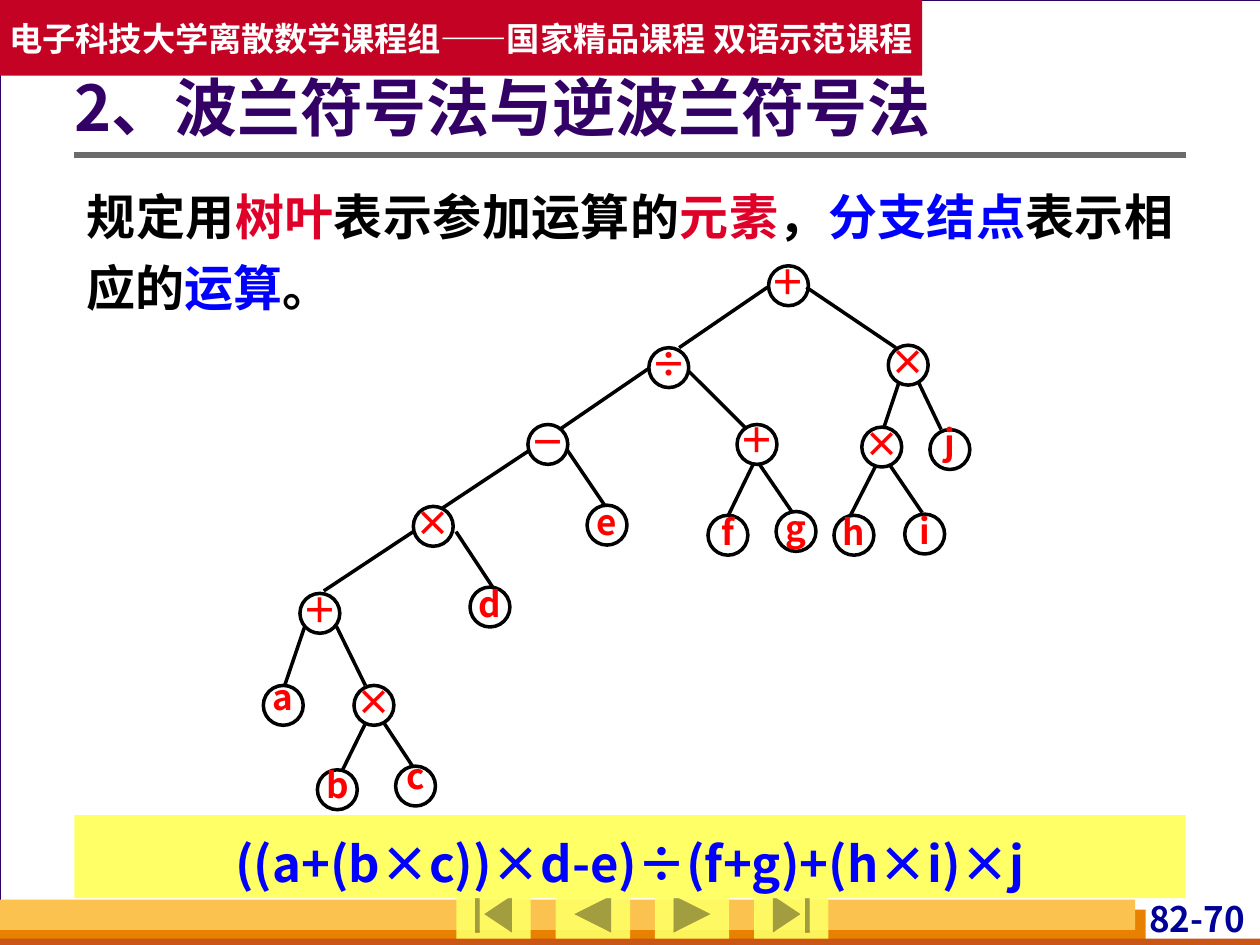
from typing import NamedTuple, Optional

from lxml.etree import SubElement
from pptx import Presentation
from pptx.dml.color import RGBColor
from pptx.enum.shapes import MSO_CONNECTOR, MSO_SHAPE as Preset
from pptx.enum.text import MSO_ANCHOR as Anchor, MSO_AUTO_SIZE as Fit, PP_ALIGN as Align
from pptx.oxml.ns import qn
from pptx.util import Pt

FONT = "Noto Sans CJK SC"
BLACK, WHITE, RED, BLUE = "000000", "FFFFFF", "FF0000", "0000FF"
CRIMSON, PURPLE, YELLOW = "DF0029", "330066", "FFFF66"
NODE_SIZE = 22.8
LABEL_HEIGHT = 23.8


class Box(NamedTuple):
    left: float
    top: float
    width: float
    height: float


class Node(NamedTuple):
    symbol: str
    left: float
    top: float
    label_rise: float = 2.9
    fill: Optional[str] = WHITE


class Edge(NamedTuple):
    x1: float
    y1: float
    x2: float
    y2: float


class Span(NamedTuple):
    text: str
    color: str


NODES = [
    Node("＋", 439.2, 151.9, fill=None),
    Node("÷", 370.8, 198.7),
    Node("×", 507.6, 197.3),
    Node("－", 301.7, 242.6, 2.2),
    Node("＋", 421.2, 242.6, 3.6),
    Node("×", 492.5, 244.1),
    Node("j", 531.4, 245.5, 5),
    Node("×", 236.2, 289.4),
    Node("e", 335.5, 288.7),
    Node("f", 404.6, 294.5),
    Node("g", 443.5, 292.3),
    Node("h", 476.6, 294.5),
    Node("i", 517, 293.8),
    Node("＋", 171.4, 339.1),
    Node("d", 268.6, 335.5),
    Node("a", 150.5, 391.7, 5.8),
    Node("×", 202.3, 391.7),
    Node("b", 181.4, 439.9, 3.6),
    Node("c", 226.1, 437.8, 6.5),
]

EDGES = [
    Edge(438.5, 164.2, 388.1, 198.7),
    Edge(460.8, 164.2, 511.9, 198.7),
    Edge(370.1, 211, 319.7, 245.5),
    Edge(392.4, 211, 427, 245.5),
    Edge(516.2, 211, 504.7, 245.5),
    Edge(521.3, 211, 537.8, 245.5),
    Edge(303.1, 257, 252, 290.9),
    Edge(324, 257, 347, 290.9),
    Edge(432.7, 260.6, 416.2, 294.5),
    Edge(429.8, 259.2, 452.9, 293),
    Edge(503.3, 260.6, 486, 294.5),
    Edge(504, 259.2, 527, 293),
    Edge(236.2, 303.8, 185, 337.7),
    Edge(260.6, 303.8, 283, 337.7),
    Edge(174.2, 357.8, 162.7, 391.7),
    Edge(192.2, 357.8, 208.8, 391.7),
    Edge(212.4, 406.1, 195.8, 439.9),
    Edge(213.8, 404.6, 236.2, 438.5),
]

BARS = [
    (Box(0.1, 519.8, 654.5, 20.2), "E88000"),
    (Box(0.1, 536.4, 720, 5.8), "C95616"),
    (Box(0, 514.1, 648.7, 17.3), "FCC24F"),
]
BUTTONS = [
    Preset.ACTION_BUTTON_BEGINNING,
    Preset.ACTION_BUTTON_BACK_OR_PREVIOUS,
    Preset.ACTION_BUTTON_FORWARD_OR_NEXT,
    Preset.ACTION_BUTTON_END,
]
RULE_SPANS = [
    Span("规定用", BLACK), Span("树叶", CRIMSON),
    Span("表示参加运算的", BLACK), Span("元素", CRIMSON),
    Span("，", BLACK), Span("分支结点", BLUE),
    Span("表示相应的", BLACK), Span("运算", BLUE), Span("。", BLACK),
]


def rgb(color: str) -> RGBColor:
    return RGBColor.from_string(color)


def place(shape, box: Box) -> None:
    for side, length in box._asdict().items():
        setattr(shape, side, Pt(length))


def add_preset(shapes, kind, box: Box, fill: Optional[str], line=None, width=0.75):
    shape = shapes.add_shape(kind, *map(Pt, box))
    shape.shadow.inherit = False
    if fill:
        shape.fill.solid()
        shape.fill.fore_color.rgb = rgb(fill)
    else:
        shape.fill.background()
    if line:
        shape.line.color.rgb = rgb(line)
        shape.line.width = Pt(width)
    else:
        shape.line.fill.background()
    return shape


def add_line(shapes, edge: Edge, color: str, width: float) -> None:
    line = shapes.add_connector(MSO_CONNECTOR.STRAIGHT, *map(Pt, edge))
    line.line.color.rgb = rgb(color)
    line.line.width = Pt(width)
    SubElement(line.element.spPr, qn("a:effectLst"))


def write(shape, spans: list[Span], size: float, align, spacing=None,
          insets=(7.2, 3.6, 7.2, 3.6), anchor=Anchor.TOP, wrap=True, fit=Fit.NONE) -> None:
    """Fill the shape with one bold paragraph of coloured spans."""
    frame = shape.text_frame
    left, top, right, bottom = map(Pt, insets)
    frame_format = {
        "margin_left": left, "margin_top": top, "margin_right": right, "margin_bottom": bottom,
        "vertical_anchor": anchor, "word_wrap": wrap, "auto_size": fit,
    }
    for name, value in frame_format.items():
        setattr(frame, name, value)
    paragraph = frame.paragraphs[0]
    paragraph.alignment = align
    paragraph.line_spacing = spacing
    for span in spans:
        run = paragraph.add_run()
        run.text = span.text
        for name, value in {"size": Pt(size), "bold": True, "name": FONT}.items():
            setattr(run.font, name, value)
        run.font.color.rgb = rgb(span.color)
        SubElement(run.font._element, qn("a:ea"), typeface=FONT)


def add_text(shapes, box: Box, spans: list[Span], size: float, align, **options) -> None:
    write(shapes.add_textbox(*map(Pt, box)), spans, size, align, **options)


def add_node(shapes, node: Node) -> None:
    add_preset(shapes, Preset.OVAL, Box(node.left, node.top, NODE_SIZE, NODE_SIZE),
               node.fill, BLACK, 2)
    add_text(shapes, Box(node.left, node.top - node.label_rise, NODE_SIZE, LABEL_HEIGHT),
             [Span(node.symbol, RED)], 20, Align.CENTER,
             insets=(0, 0, 0, 0), fit=Fit.SHAPE_TO_FIT_TEXT)


def add_button(shapes, kind, left: float) -> None:
    button = add_preset(shapes, kind, Box(left, 508.3, 42.5, 28.1), YELLOW)
    color = button.element.spPr.find(qn("a:solidFill"))[0]
    SubElement(color, qn("a:alpha"), val="90000")


def main() -> None:
    deck = Presentation()
    deck.slide_width, deck.slide_height = Pt(720), Pt(540)
    slide = deck.slides.add_slide(deck.slide_layouts[5])
    slide.background.fill.solid()
    slide.background.fill.fore_color.rgb = rgb("D8DADA")
    shapes = slide.shapes

    add_preset(shapes, Preset.RECTANGLE, Box(0, 0, 720.7, 540), WHITE, PURPLE)
    for box, color in BARS:
        add_preset(shapes, Preset.RECTANGLE, box, color)
    add_text(shapes, Box(637.9, 512.6, 76.3, 27.4), [Span("82-70", "000099")], 20, Align.RIGHT,
             insets=(2.9, 0, 2.9, 0), fit=Fit.SHAPE_TO_FIT_TEXT)
    add_line(shapes, Edge(42.5, 88.6, 677.5, 88.6), "6B6B6B", 3)
    for index, kind in enumerate(BUTTONS):
        add_button(shapes, kind, 260.8 + 56.7 * index)

    header = add_preset(shapes, Preset.RECTANGLE, Box(0, 0, 527, 43.2), "C30224")
    write(header, [Span("电子科技大学离散数学课程组——国家精品课程 双语示范课程", WHITE)], 19,
          Align.CENTER, insets=(0, 3.6, 0, 3.6), anchor=Anchor.MIDDLE, wrap=False)

    title = shapes.title
    shapes.element.append(title.element)  # in front of the frame and the header
    place(title, Box(42.5, 27.4, 635, 72.7))
    write(title, [Span("2、波兰符号法与逆波兰符号法", PURPLE)], 36, Align.LEFT, spacing=0.9,
          insets=(0, 3.6, 7.2, 3.6), anchor=Anchor.MIDDLE)

    add_text(shapes, Box(42.5, 96.5, 635, 87.8), RULE_SPANS, 28, Align.JUSTIFY, spacing=1.2)

    tree = shapes.add_group_shape().shapes
    for edge in EDGES:
        add_line(tree, edge, BLACK, 2)
    for node in NODES:
        add_node(tree, node)

    formula = add_preset(shapes, Preset.RECTANGLE, Box(42.5, 465.8, 635, 47.5), YELLOW)
    write(formula, [Span("((a+(b×c))×d-e)÷(f+g)+(h×i)×j", BLUE)], 28, Align.CENTER,
          spacing=1.2, fit=Fit.SHAPE_TO_FIT_TEXT)

    deck.save("out.pptx")


if __name__ == "__main__":
    main()
